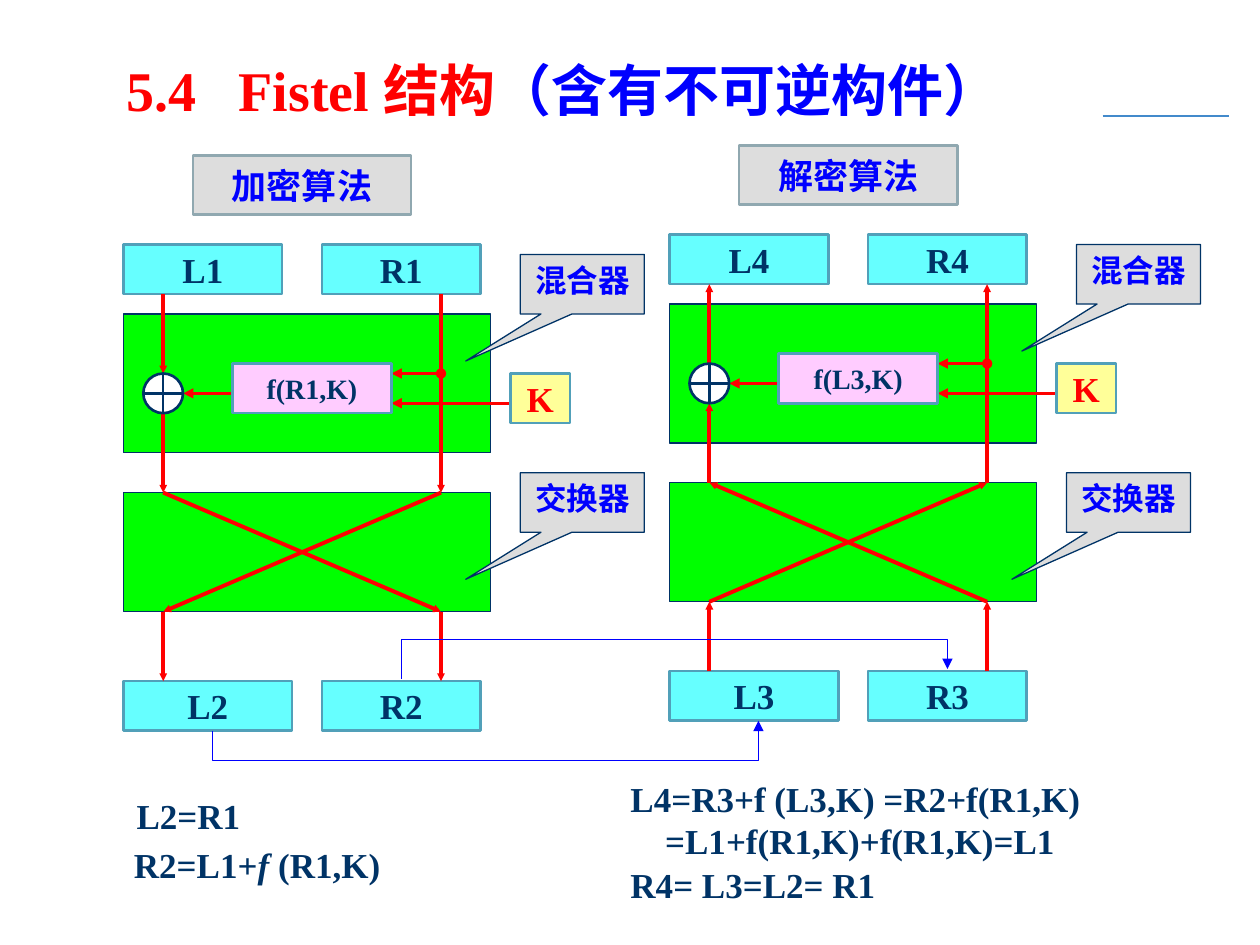
from lxml import etree
from pptx import Presentation
from pptx.dml.color import RGBColor
from pptx.enum.shapes import MSO_CONNECTOR, MSO_SHAPE
from pptx.enum.text import MSO_ANCHOR, MSO_AUTO_SIZE, PP_ALIGN
from pptx.oxml.ns import qn
from pptx.util import Cm, Pt

NAVY = RGBColor(0x00, 0x33, 0x66)
RED = RGBColor(0xFF, 0x00, 0x00)
BLUE = RGBColor(0x00, 0x00, 0xFF)
GREEN = RGBColor(0x00, 0xFF, 0x00)
CYAN = RGBColor(0x66, 0xFF, 0xFF)
PINK = RGBColor(0xFF, 0xCC, 0xFF)
YELLOW = RGBColor(0xFF, 0xFF, 0x99)
GREY = RGBColor(0xDD, 0xDD, 0xDD)
WHITE = RGBColor(0xFF, 0xFF, 0xFF)
TEAL_EDGE = RGBColor(0x51, 0xA0, 0xB9)
GREY_EDGE = RGBColor(0x90, 0xA8, 0xB0)
RULE = RGBColor(0x43, 0x8A, 0xCB)

# Content: a paragraph is a list of (text, overrides) runs
TITLE = [[("5.4\tFistel 结构", {}), ("（含有不可逆构件）", {"color": BLUE})]]
SCHEMES = [
    {"heading": "加密算法", "origin": (2.49, 4.93), "top": ("L1", "R1"),
     "bottom": ("L2", "R2"), "function": "f(R1,K)", "upward": False,
     "callouts": [("混合器", 8, 0.2), ("交换器", 8, 4.6)]},
    {"heading": "解密算法", "origin": (13.5, 4.73), "top": ("L4", "R4"),
     "bottom": ("L3", "R3"), "function": "f(L3,K)", "upward": True,
     "callouts": [("混合器", 8.2, 0.2), ("交换器", 8, 4.8)]},
]
FORMULAS = [  # paragraphs, left, top, width, height, alignment
    ([[("L2=R1", {})]], 2.1, 15.93, 3.4, 1, PP_ALIGN.CENTER),
    ([[("R2=L1+", {}), ("f ", {"italic": True}), ("(R1,K)", {})]],
     2.49, 16.92, 7, 1, PP_ALIGN.LEFT),
    ([[("L4=R3+f (L3,K) =R2+f(R1,K)", {})], [("=L1+f(R1,K)+f(R1,K)=L1", {})]],
     12.5, 15.73, 11, 1.6, PP_ALIGN.LEFT),
    ([[("R4= L3=L2= R1", {})]], 12.5, 17.33, 10, 1, PP_ALIGN.LEFT),
]

# Scheme geometry in cm, measured from the scheme's origin
LEFT_WIRE, RIGHT_WIRE = 0.8, 6.4
WIRES = [  # x1, y1, x2, y2 in the encryption direction
    (LEFT_WIRE, 1, LEFT_WIRE, 2.6), (LEFT_WIRE, 3.4, LEFT_WIRE, 5),
    (RIGHT_WIRE, 1, RIGHT_WIRE, 5),
    (LEFT_WIRE, 5, RIGHT_WIRE, 7.4), (RIGHT_WIRE, 5, LEFT_WIRE, 7.4),
    (LEFT_WIRE, 7.4, LEFT_WIRE, 8.8), (RIGHT_WIRE, 7.4, RIGHT_WIRE, 8.8),
]
FEEDS = [  # x1, x2, y, start mark: R branch, key, function output
    (RIGHT_WIRE, 5.4, 2.6, "oval"), (8, 5.4, 3.2, "oval"), (2.2, 1.2, 3, None),
]
LINKS = [  # from, to, depth of the middle stretch as a share of the drop
    ((4.29, 14.73), (15.29, 14.53), -3), ((8.1, 13.69), (19.1, 13.49), 4),
]

deck = Presentation()
deck.slide_width, deck.slide_height = Cm(25.4), Cm(19.05)
slide = deck.slides.add_slide(deck.slide_layouts[5])


def write_text(holder, paragraphs, *, size=20, color=NAVY, font="Times New Roman",
               align=PP_ALIGN.CENTER, anchor=MSO_ANCHOR.MIDDLE, wrap=False,
               margins=(0.21, 0.11)):
    frame = holder.text_frame
    frame.auto_size = MSO_AUTO_SIZE.NONE
    frame.word_wrap, frame.vertical_anchor = wrap, anchor
    frame.margin_left = frame.margin_right = Cm(margins[0])
    frame.margin_top = frame.margin_bottom = Cm(margins[1])
    for index, runs in enumerate(paragraphs):
        paragraph = frame.add_paragraph() if index else frame.paragraphs[0]
        paragraph.alignment = align
        for words, overrides in runs:
            run = paragraph.add_run()
            run.text = words
            run.font.name, run.font.size, run.font.bold = font, Pt(size), True
            run.font.italic = overrides.get("italic", False)
            run.font.color.rgb = overrides.get("color", color)
    return frame


def add_block(kind, x, y, w, h, fill, edge=TEAL_EDGE, weight=1.5, words=None, **style):
    block = slide.shapes.add_shape(kind, Cm(x), Cm(y), Cm(w), Cm(h))
    block.shadow.inherit = False
    block.fill.solid()
    block.fill.fore_color.rgb = fill
    block.line.color.rgb, block.line.width = edge, Pt(weight)
    if words:
        write_text(block, [[(words, {})]], **style)
    return block


def add_line(start, end, color, weight, head=None, tail="triangle", size="med",
             kind=MSO_CONNECTOR.STRAIGHT):
    line = slide.shapes.add_connector(kind, *(Cm(v) for v in (*start, *end)))
    line.line.color.rgb, line.line.width = color, Pt(weight)
    outline = line.line._get_or_add_ln()
    for tag, mark in (("a:headEnd", head), ("a:tailEnd", tail)):
        if mark:
            etree.SubElement(outline, qn(tag), type=mark, w=size, len=size)
    etree.SubElement(line._element.spPr, qn("a:effectLst"))
    return line


def add_link(start, end, depth):
    """Elbow that leaves and arrives vertically: a quarter-turned connector."""
    (x1, y1), (x2, y2) = start, end
    link = add_line(start, end, BLUE, 0.75, kind=MSO_CONNECTOR.ELBOW)
    drop, span = abs(y2 - y1), abs(x2 - x1)
    link.left, link.top = Cm((x1 + x2 - drop) / 2), Cm((y1 + y2 - span) / 2)
    link.width, link.height = Cm(drop), Cm(span)
    frame = link._element.spPr.find(qn("a:xfrm"))
    for key, value in (("rot", "5400000"), ("flipH", "1"), ("flipV", "1")):
        frame.set(key, value)
    guides = link._element.spPr.find(qn("a:prstGeom")).find(qn("a:avLst"))
    etree.SubElement(guides, qn("a:gd"), name="adj1", fmla=f"val {depth * 100000}")


def draw_scheme(scheme):
    ox, oy = scheme["origin"]
    rect = MSO_SHAPE.RECTANGLE
    # Mixer and swapper
    for y, height in ((1.4, 2.8), (5, 2.4)):
        add_block(rect, ox, oy + y, 7.4, height, GREEN, NAVY, 0.75)
    # Half blocks
    for row, y, left_width in (("top", 0, 3.2), ("bottom", 8.8, 3.4)):
        for words, x, width in zip(scheme[row], (0, 4), (left_width, 3.2)):
            add_block(rect, ox + x, oy + y, width, 1, CYAN, words=words)
    # Wires
    for x1, y1, x2, y2 in WIRES:
        ends = [(ox + x1, oy + y1), (ox + x2, oy + y2)]
        if scheme["upward"]:
            ends.reverse()
        add_line(*ends, RED, 2.25, size="sm")
    for x1, x2, y, mark in FEEDS:
        add_line((ox + x1, oy + y), (ox + x2, oy + y), RED, 1.5, head=mark)
    # Exclusive-or, round function and key
    add_block(MSO_SHAPE.FLOWCHART_OR, ox + 0.4, oy + 2.6, 0.8, 0.8, WHITE, NAVY)
    add_block(rect, ox + 2.2, oy + 2.4, 3.2, 1, PINK, words=scheme["function"], size=16)
    add_block(rect, ox + 7.8, oy + 2.6, 1.2, 1, YELLOW, words="K", color=RED)
    # Heading and callouts
    add_block(rect, ox + 1.4, oy - 1.8, 4.4, 1.2, GREY, GREY_EDGE,
              words=scheme["heading"], color=BLUE)
    for words, x, y in scheme["callouts"]:
        callout = add_block(MSO_SHAPE.RECTANGULAR_CALLOUT, ox + x, oy + y, 2.5, 1.2,
                            GREY, NAVY, 0.75, words, size=18, color=BLUE, font="Arial",
                            anchor=MSO_ANCHOR.TOP, wrap=True, margins=(0.25, 0.13))
        callout.adjustments[0], callout.adjustments[1] = -0.94, 1.29


# Title and rule
add_line((22.23, 2.34), (24.77, 2.34), RULE, 0.75, tail=None)
title = slide.shapes.title
title.left, title.top, title.width, title.height = Cm(2.35), Cm(1), Cm(18.6), Cm(1.57)
heading = write_text(title, TITLE, size=32, color=RED, align=PP_ALIGN.LEFT,
                     anchor=MSO_ANCHOR.TOP)
tabs = etree.SubElement(heading.paragraphs[0]._p.get_or_add_pPr(), qn("a:tabLst"))
etree.SubElement(tabs, qn("a:tab"), pos=str(Cm(2.25)), algn="l")

# Both schemes and the links between them
for scheme in SCHEMES:
    draw_scheme(scheme)
for link in LINKS:
    add_link(*link)

# Formulas; continuation lines are indented
for paragraphs, x, y, w, h, align in FORMULAS:
    formula = slide.shapes.add_textbox(Cm(x), Cm(y), Cm(w), Cm(h))
    frame = write_text(formula, paragraphs, align=align)
    for continuation in frame.paragraphs[1:]:
        continuation._p.get_or_add_pPr().set("marL", str(Cm(0.7)))

deck.save("out.pptx")
